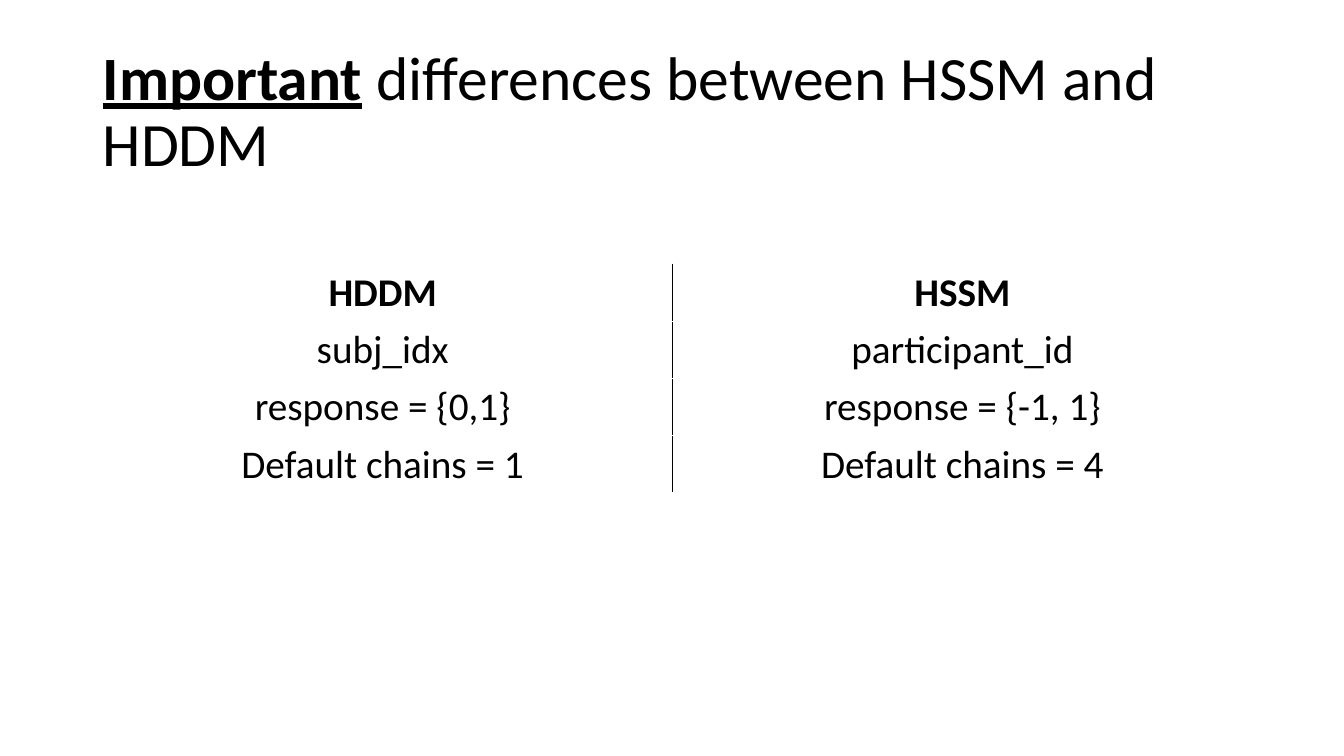
from dataclasses import dataclass

from lxml import etree
from pptx import Presentation
from pptx.dml.color import RGBColor
from pptx.enum.text import MSO_ANCHOR, PP_ALIGN
from pptx.oxml.ns import qn
from pptx.util import Inches, Pt

MIDDLE = MSO_ANCHOR.MIDDLE
CENTER = PP_ALIGN.CENTER


@dataclass(frozen=True)
class Theme:
    font: str = "Calibri"
    ink: str = "000000"
    title_size: int = 44
    table_size: int = 28
    rule_width: int = 1


THEME = Theme()
COMPARISON = [
    ("HDDM", "HSSM"),
    ("subj_idx", "participant_id"),
    ("response = {0,1}", "response = {-1, 1}"),
    ("Default chains = 1", "Default chains = 4"),
]


def set_font(paragraph, size, bold=False):
    font = paragraph.font
    font.name = THEME.font
    font.size = Pt(size)
    font.bold = bold
    font.color.rgb = RGBColor.from_string(THEME.ink)


def add_title(page, left, top, width, height):
    box = page.shapes.add_textbox(
        Inches(left), Inches(top), Inches(width), Inches(height))
    frame = box.text_frame
    frame.word_wrap = True
    frame.vertical_anchor = MIDDLE
    frame.margin_right = Inches(0.2)
    para = frame.paragraphs[0]
    para.line_spacing = 0.9
    set_font(para, THEME.title_size)
    emphasis = para.add_run()
    emphasis.text = "Important"
    emphasis.font.bold = True
    emphasis.font.underline = True
    para.add_run().text = " differences between HSSM and HDDM"


def add_cell_rule(cell, side):
    """Draw a solid line on one side of a cell: lnL or lnR."""
    properties = cell._tc.get_or_add_tcPr()
    line = etree.Element(qn(f"a:{side}"), w=str(Pt(THEME.rule_width)))
    fill = etree.SubElement(line, qn("a:solidFill"))
    etree.SubElement(fill, qn("a:srgbClr"), val=THEME.ink)
    properties.insert(0, line)


def add_comparison(page, left, top, width, height):
    table = page.shapes.add_table(
        len(COMPARISON), 2,
        Inches(left), Inches(top), Inches(width), Inches(height)).table
    table.first_row = False
    table.horz_banding = False
    for row, texts in enumerate(COMPARISON):
        for column, (text, side) in enumerate(zip(texts, ("lnR", "lnL"))):
            cell = table.cell(row, column)
            cell.text = text
            cell.fill.background()
            add_cell_rule(cell, side)
            para = cell.text_frame.paragraphs[0]
            para.alignment = CENTER
            set_font(para, THEME.table_size, bold=row == 0)


def main():
    deck = Presentation()
    deck.slide_width = Inches(13.33)
    deck.slide_height = Inches(7.5)
    page = deck.slides.add_slide(deck.slide_layouts[6])
    add_title(page, 0.92, 0.4, 12.42, 1.45)
    add_comparison(page, 0.92, 2.62, 11.5, 2.27)
    deck.save("out.pptx")


if __name__ == "__main__":
    main()
